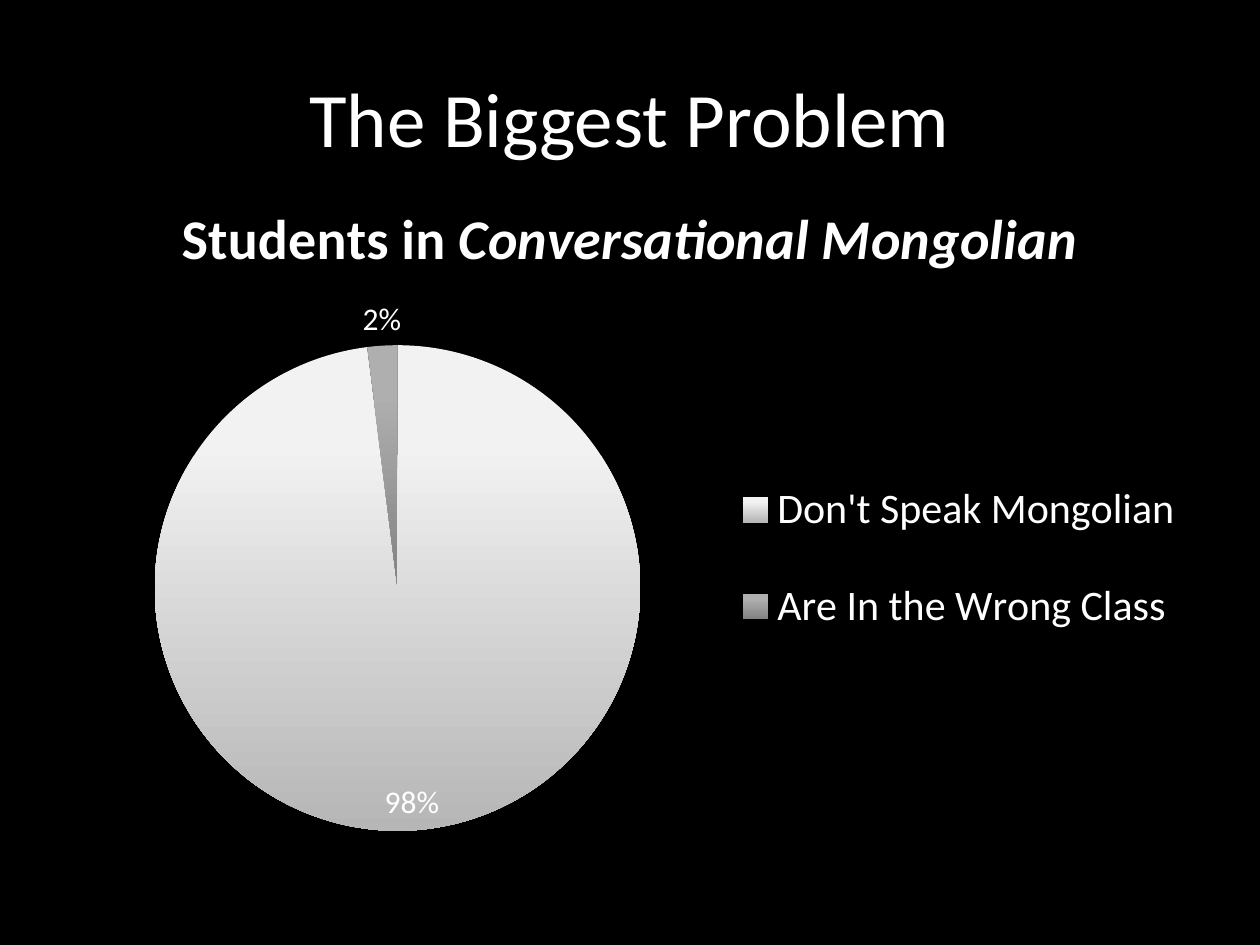
"""Build a slide with a pie chart of students in a Mongolian class."""
from lxml import etree
from pptx import Presentation
from pptx.chart.data import CategoryChartData
from pptx.dml.color import RGBColor
from pptx.enum.chart import XL_CHART_TYPE, XL_LABEL_POSITION, XL_LEGEND_POSITION
from pptx.enum.text import MSO_ANCHOR, PP_ALIGN
from pptx.oxml.ns import qn
from pptx.util import Inches, Pt

PIE = XL_CHART_TYPE.PIE
BEST_FIT = XL_LABEL_POSITION.BEST_FIT
RIGHT = XL_LEGEND_POSITION.RIGHT
MIDDLE = MSO_ANCHOR.MIDDLE
CENTER = PP_ALIGN.CENTER
FONT = "Calibri"
COLORS = {
    "background": "000000",
    "text": "FFFFFF",
    "speak_top": "F2F2F2",
    "speak_bottom": "B6B6B6",
    "wrong_top": "AFAFAF",
    "wrong_bottom": "828282",
}


def style_font(font, size):
    font.name = FONT
    font.size = Pt(size)
    font.color.rgb = RGBColor.from_string(COLORS["text"])


def place(parent, index, target, **fractions):
    for old in parent.findall(qn("c:layout")):
        parent.remove(old)
    layout = etree.Element(qn("c:layout"))
    manual = etree.SubElement(layout, qn("c:manualLayout"))
    settings = {"xMode": "edge", "yMode": "edge", **fractions}
    if target:
        settings = {"layoutTarget": target, **settings}
    for tag, value in settings.items():
        etree.SubElement(manual, qn(f"c:{tag}")).set("val", str(value))
    parent.insert(index, layout)


prs = Presentation()
prs.slide_width, prs.slide_height = Inches(10), Inches(7.5)
slide = prs.slides.add_slide(prs.slide_layouts[5])
slide.background.fill.solid()
slide.background.fill.fore_color.rgb = RGBColor.from_string(COLORS["background"])

headline = slide.shapes.title
headline.left, headline.top = Inches(0.5), Inches(0.3)
headline.width, headline.height = Inches(9), Inches(1.25)
headline.text_frame.vertical_anchor = MIDDLE
headline_paragraph = headline.text_frame.paragraphs[0]
headline_paragraph.alignment = CENTER
headline_run = headline_paragraph.add_run()
headline_run.text = "The Biggest Problem"
style_font(headline_run.font, 44)

students = CategoryChartData()
students.categories = ["Don't Speak Mongolian", "Are In the Wrong Class"]
students.add_series("Series 1", (98, 2))
chart = slide.shapes.add_chart(
    PIE, Inches(0.5), Inches(1.42), Inches(9), Inches(5.28), students
).chart
style_font(chart.font, 18)

chart.has_title = True
chart_heading = chart.chart_title.text_frame.paragraphs[0]
for words, italic in (("Students in ", False), ("Conversational Mongolian", True)):
    run = chart_heading.add_run()
    run.text = words
    style_font(run.font, 32)
    run.font.bold = True
    run.font.italic = italic

chart.has_legend = True
chart.legend.position = RIGHT
chart.legend.include_in_layout = False
style_font(chart.legend.font, 24)

plot = chart.plots[0]
plot.vary_by_categories = True
for number, answer in enumerate(("speak", "wrong")):
    fill = plot.series[0].points[number].format.fill
    fill.gradient()
    fill.gradient_angle = 270
    for stop, end, position in zip(fill.gradient_stops, ("top", "bottom"), (0.2, 1)):
        stop.color.rgb = RGBColor.from_string(COLORS[f"{answer}_{end}"])
        stop.position = position

plot.has_data_labels = True
labels = plot.data_labels
labels.show_value = False
labels.show_percentage = True
labels.number_format = "0%"
labels.number_format_is_linked = False
labels.position = BEST_FIT
style_font(labels.font, 18)

plot_area = chart.element.find(f".//{qn('c:plotArea')}")
legend = chart.element.find(f".//{qn('c:legend')}")
place(plot_area, 0, "inner", x=0.08, y=0.25, w=0.43, h=0.73)
place(legend, 1, None, x=0.59, y=0.39, w=0.4, h=0.36)

prs.save("out.pptx")
